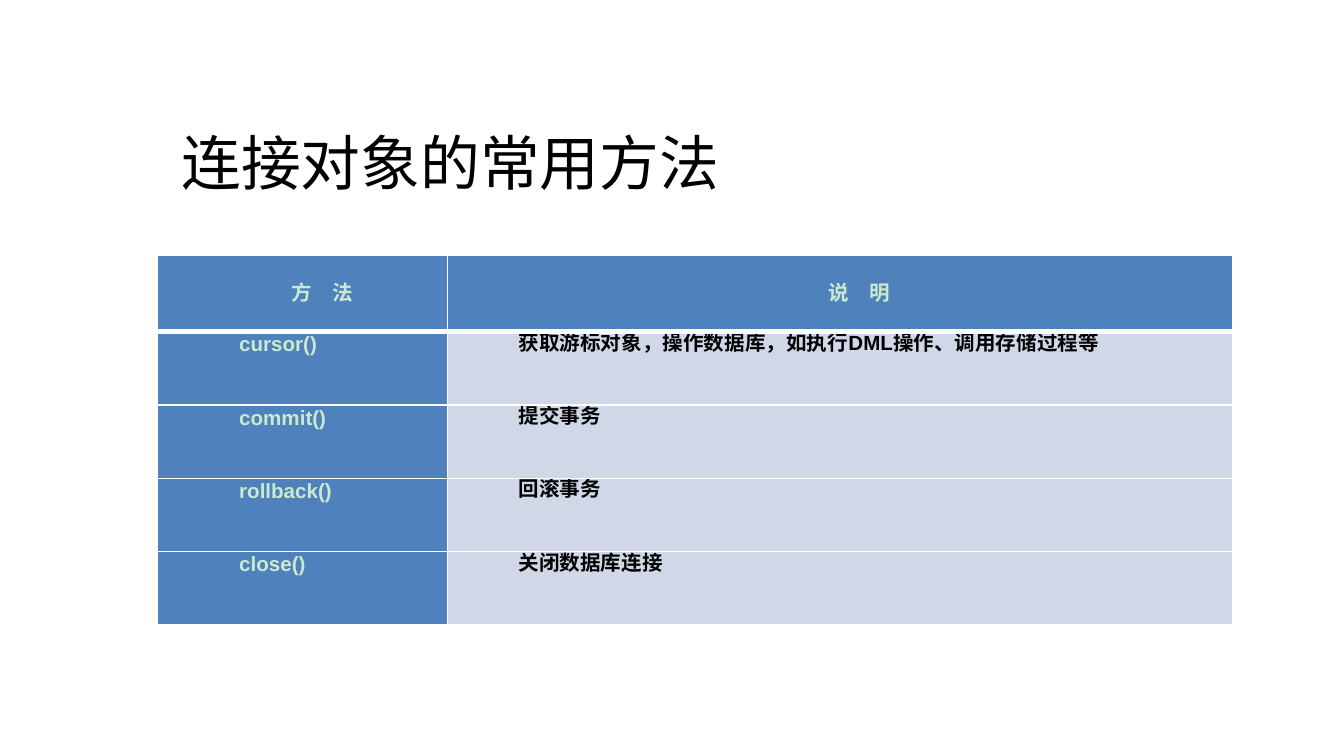
from lxml import etree
from pptx import Presentation
from pptx.dml.color import RGBColor
from pptx.enum import text
from pptx.oxml import ns
from pptx.util import Inches, Pt

BLACK = RGBColor(0x00, 0x00, 0x00)
WHITE = RGBColor(0xFF, 0xFF, 0xFF)
MINT = RGBColor(0xCA, 0xEA, 0xCE)
BLUE = RGBColor(0x4F, 0x81, 0xBD)
PALE_BLUE = RGBColor(0xD0, 0xD8, 0xE8)

HEADINGS = ("方　法", "说　明")
METHODS = (
    ("cursor()", "获取游标对象，操作数据库，如执行DML操作、调用存储过程等"),
    ("commit()", "提交事务"),
    ("rollback()", "回滚事务"),
    ("close()", "关闭数据库连接"),
)


def add_run(paragraph, wording, font_name, size, color, bold=False):
    run = paragraph.add_run()
    run.text = wording
    run.font.name = font_name
    run.font.size = Pt(size)
    run.font.bold = bold
    run.font.color.rgb = color


def set_borders(cell, bottom_width):
    """Draw the four cell edges; they must precede the fill in tcPr."""
    properties = cell._tc.get_or_add_tcPr()
    widths = {"a:lnL": 1, "a:lnR": 1, "a:lnT": 1, "a:lnB": bottom_width}
    for position, (edge, width) in enumerate(widths.items()):
        line = etree.Element(ns.qn(edge), w=str(Pt(width)))
        fill = etree.SubElement(line, ns.qn("a:solidFill"))
        etree.SubElement(fill, ns.qn("a:srgbClr"), val=str(WHITE))
        properties.insert(position, line)


def fill_cell(cell, wording, fill, color, indent, heading=False):
    cell.fill.solid()
    cell.fill.fore_color.rgb = fill
    cell.margin_left = cell.margin_right = Inches(0.07)
    cell.margin_top = cell.margin_bottom = 0
    cell.vertical_anchor = text.MSO_ANCHOR.MIDDLE if heading else text.MSO_ANCHOR.TOP
    paragraph = cell.text_frame.paragraphs[0]
    paragraph.alignment = text.PP_ALIGN.CENTER if heading else text.PP_ALIGN.JUSTIFY
    paragraph.line_spacing = Pt(14 if heading else 13)
    paragraph._p.get_or_add_pPr().set("indent", str(Inches(indent)))
    add_run(paragraph, wording, "Arial", 11, color, bold=True)
    set_borders(cell, 3 if heading else 1)


def place_title(slide, left, top, width, height):
    title = slide.shapes.title
    title.left, title.top, title.width, title.height = map(
        Inches, (left, top, width, height))
    frame = title.text_frame
    frame.word_wrap = True
    frame.vertical_anchor = text.MSO_ANCHOR.MIDDLE
    heading = frame.paragraphs[0]
    heading.alignment = text.PP_ALIGN.LEFT
    heading.line_spacing = 0.9
    add_run(heading, "连接对象的常用方法", "Calibri", 32, BLACK)


def place_methods(slide, left, top, width, height):
    methods = slide.shapes.add_table(
        len(METHODS) + 1, 2, *map(Inches, (left, top, width, height))).table
    methods.horz_banding = False

    # Column and row sizes
    name_width, heading_height = 0.27 * width, 0.57
    methods.columns[0].width = Inches(name_width)
    methods.columns[1].width = Inches(width - name_width)
    for index, row in enumerate(methods.rows):
        row.height = Inches((height - heading_height) / len(METHODS)
                            if index else heading_height)

    # Heading row
    for column, wording in enumerate(HEADINGS):
        fill_cell(methods.cell(0, column), wording, BLUE, MINT, 0.29, heading=True)

    # One row per method
    for row, (name, purpose) in enumerate(METHODS, 1):
        fill_cell(methods.cell(row, 0), name, BLUE, MINT, 0.54)
        fill_cell(methods.cell(row, 1), purpose, PALE_BLUE, BLACK, 0.46)


def main():
    deck = Presentation()
    deck.slide_width = Inches(10)
    deck.slide_height = deck.slide_width * 9 // 16
    slide = deck.slides.add_slide(deck.slide_layouts[5])
    slide.background.fill.solid()
    slide.background.fill.fore_color.rgb = WHITE
    place_title(slide, 1.25, 0.9, 6.08, 0.67)
    place_methods(slide, 1.17, 1.9, 8, 2.75)
    deck.save("out.pptx")


if __name__ == "__main__":
    main()
